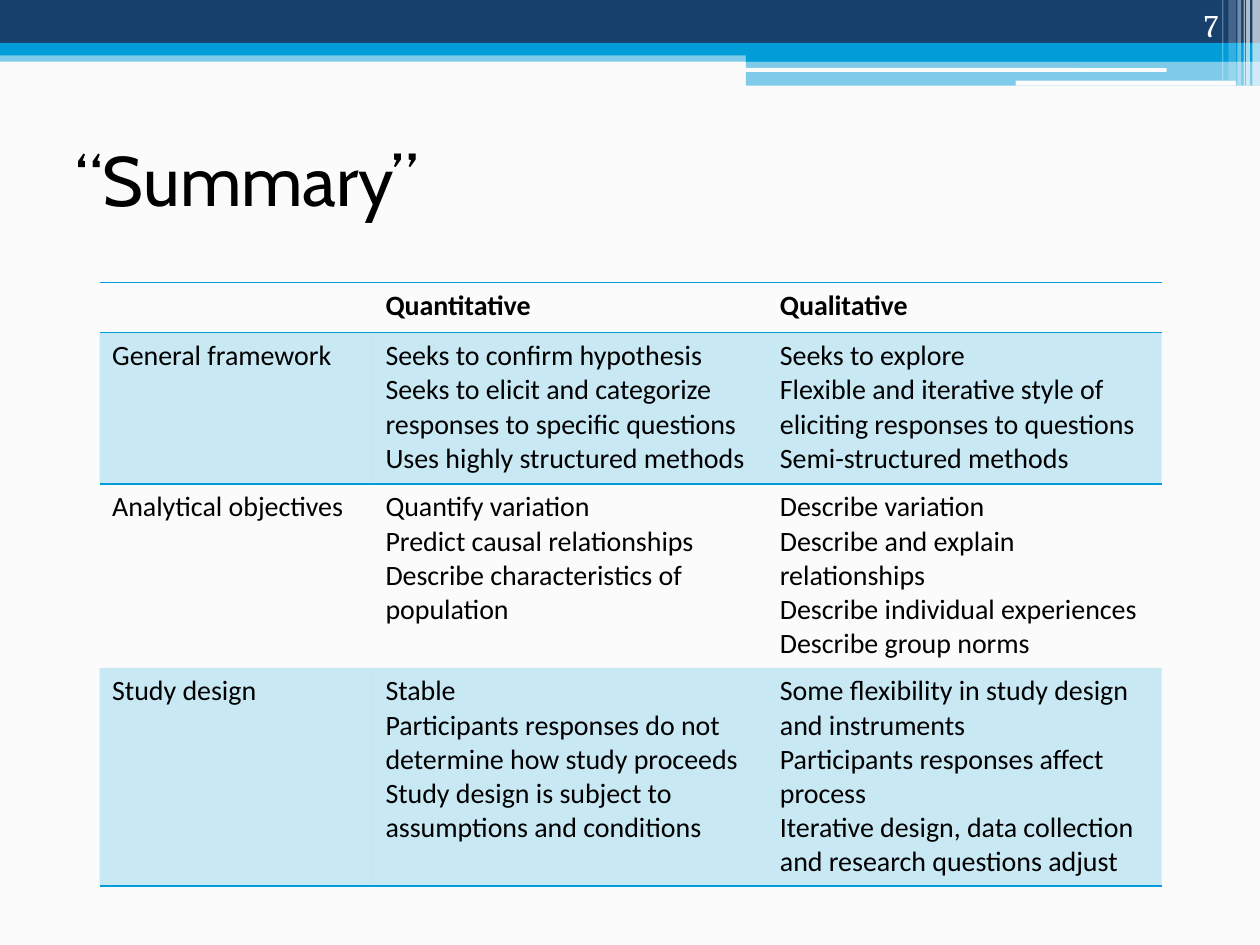
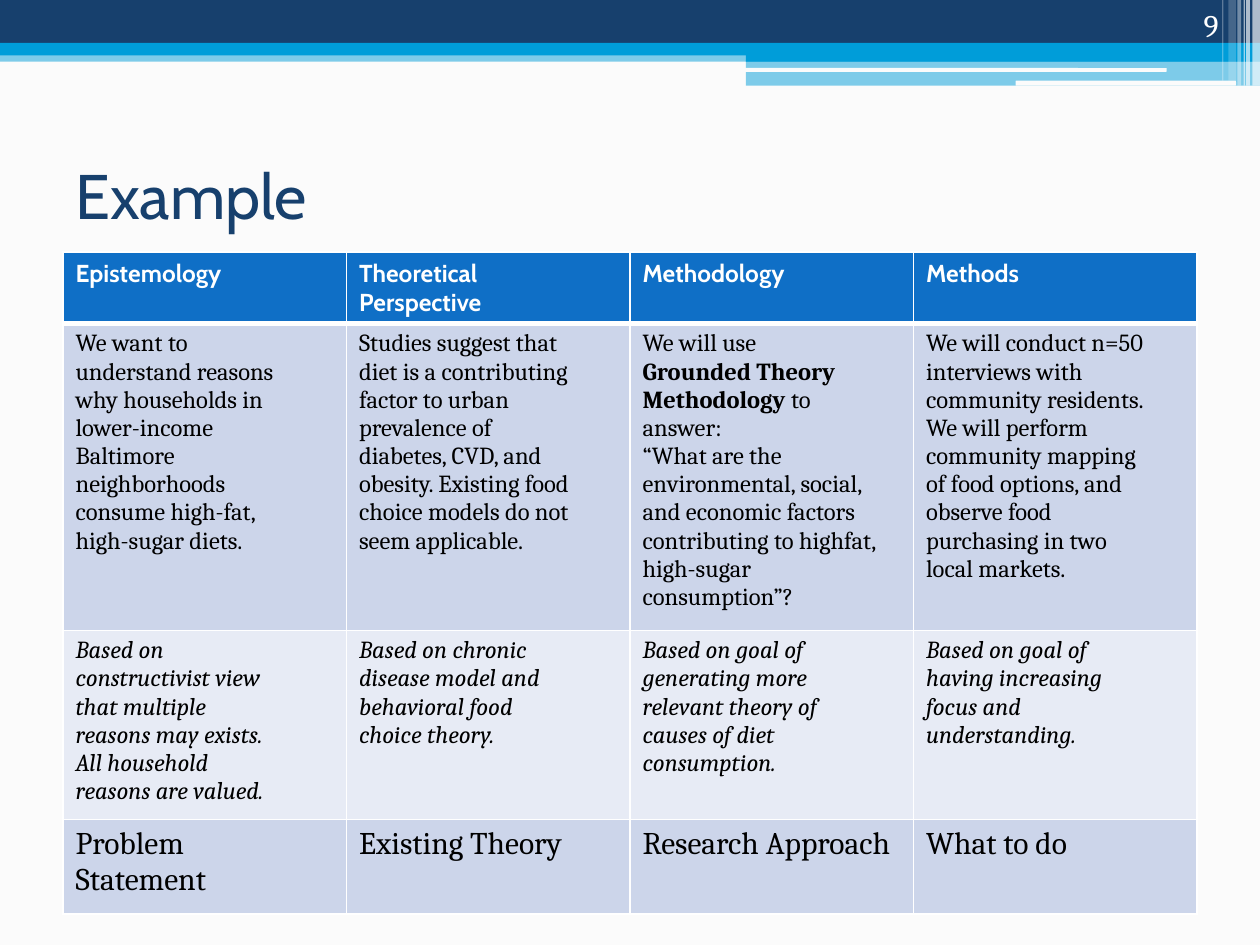
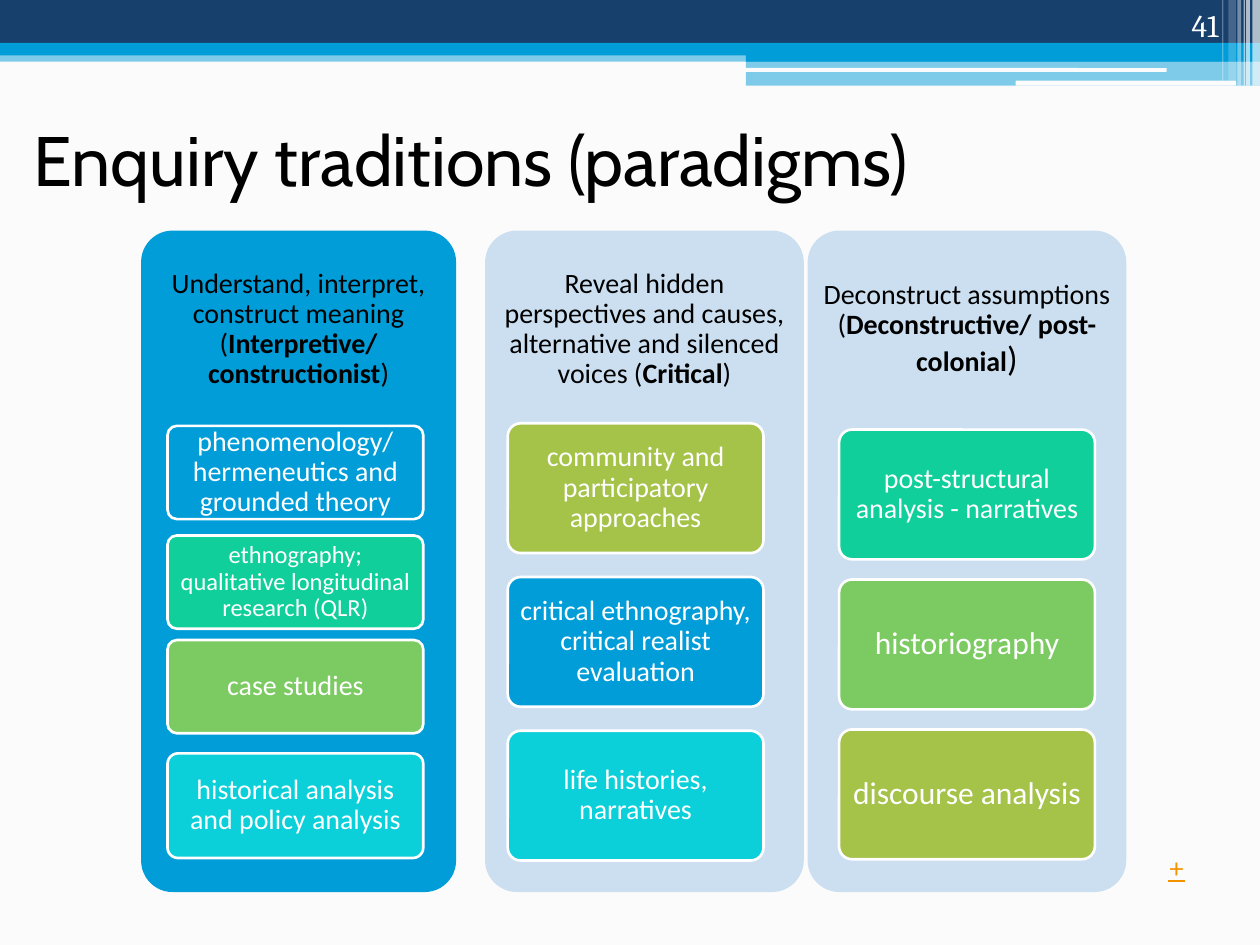
import pptx
import pptx.dml.color
import pptx.enum.shapes
import pptx.enum.text
import pptx.oxml
import pptx.oxml.ns
import pptx.util
import lxml.etree

Inches = pptx.util.Inches
Pt = pptx.util.Pt
RGBColor = pptx.dml.color.RGBColor
SHAPE = pptx.enum.shapes.MSO_SHAPE
ALIGN = pptx.enum.text.PP_ALIGN
ANCHOR = pptx.enum.text.MSO_ANCHOR
qn = pptx.oxml.ns.qn

COLORS = {
    "paper": "FBFBFB", "white": "FFFFFF", "black": "000000",
    "navy": "17406D", "sky": "009DD9", "royal": "0F6FC6",
    "pale": "CCDFF1", "aqua": "0BD0D9", "mint": "10CF9B",
    "green": "7CCA62", "olive": "A5C249", "orange": "F49100",
    "row_dark": "CCD5EA", "row_light": "E7EBF5",
}
NO_TABLE_STYLE = "{2D5ABB26-0587-4C30-8999-92F81FD0307C}"


def paint(fill, color, opacity=100):
    fill.solid()
    fill.fore_color.rgb = RGBColor.from_string(COLORS[color])
    if opacity < 100:
        rgb = next(fill._xPr.iter(qn("a:srgbClr")))
        lxml.etree.SubElement(rgb, qn("a:alpha"), val=str(opacity * 1000))


def write(frame, text, font, size, color, bold=False, italic=False,
          align=ALIGN.LEFT, anchor=ANCHOR.TOP, spacing=None):
    """Each line becomes a paragraph; ** switches bold on and off."""
    frame.word_wrap = True
    frame.vertical_anchor = anchor
    for number, line in enumerate(text.split("\n")):
        paragraph = frame.add_paragraph() if number else frame.paragraphs[0]
        paragraph.alignment = align
        paragraph.line_spacing = spacing
        for part, words in enumerate(line.split("**")):
            if part and not words:
                continue
            run = paragraph.add_run()
            run.text = words
            run.font.name = font
            run.font.size = Pt(size)
            run.font.bold = bold or part % 2 == 1
            run.font.italic = italic
            run.font.color.rgb = RGBColor.from_string(COLORS[color])


deck = pptx.Presentation()
deck.slide_width, deck.slide_height = Inches(10), Inches(7.5)

# Shared header: left, top, width, height, colour, opacity
bands = [
    (0, 0.4, 10, 0.09, "sky", 50),
    (0, 0, 10, 0.34, "navy", 100),
    (0, 0.34, 10, 0.1, "sky", 100),
    (5.92, 0.39, 4.08, 0.1, "sky", 100),
    (5.92, 0.48, 4.08, 0.2, "sky", 50),
    (5.91, 0.54, 3.35, 0.03, "paper", 100),
    (8.06, 0.64, 1.75, 0.04, "paper", 100),
    (9.94, 0, 0.06, 0.68, "white", 65),
    (9.89, 0, 0.03, 0.68, "white", 65),
    (9.87, 0, 0.01, 0.68, "white", 60),
    (9.82, 0, 0.03, 0.68, "white", 40),
    (9.75, 0, 0.06, 0.64, "white", 20),
    (9.7, 0, 0.01, 0.64, "white", 30),
]
# Title, its box, size and colour, and the slide number
openings = [
    ("“Summary”", (0.5, 0.83, 9, 1.17), 40, "black", "7"),
    ("Example", (0.5, 1.25, 9, 0.58), 36, "navy", "9"),
    ("Enquiry traditions (paradigms)", (0.17, 0.67, 9, 1.17), 40, "black", "41"),
]
for title, title_box, size, color, number in openings:
    slide = deck.slides.add_slide(deck.slide_layouts[6])
    paint(slide.background.fill, "paper")
    for *box, band_color, opacity in bands:
        kind = SHAPE.ROUNDED_RECTANGLE if band_color == "paper" else SHAPE.RECTANGLE
        band = slide.shapes.add_shape(kind, *map(Inches, box))
        band.shadow.inherit = False
        band.line.fill.background()
        paint(band.fill, band_color, opacity)
    heading = slide.shapes.add_textbox(*map(Inches, title_box))
    write(heading.text_frame, title, "Cabin", size, color, anchor=ANCHOR.MIDDLE)
    page = slide.shapes.add_textbox(*map(Inches, (8.94, 0, 0.83, 0.4)))
    write(page.text_frame, number, "Cambria", 18, "white",
          align=ALIGN.RIGHT, anchor=ANCHOR.BOTTOM)
summary, example, traditions = deck.slides

# Tables: each row has a height, fill, text style, edges and cell texts
body = ("Calibri", 16, "black")
rule = ("sky", 1)
thin, thick = ("white", 1), ("white", 3)
grid = {"L": thin, "R": thin, "T": thin, "B": thin}
summary_rows = [
    (0.37, None, body + (True,), {"T": rule, "B": rule},
     ["", "Quantitative", "Qualitative"]),
    (1.2, ("sky", 20), body, {"T": rule}, [
        "General framework",
        "Seeks to confirm hypothesis\n"
        "Seeks to elicit and categorize responses to specific questions\n"
        "Uses highly structured methods",
        "Seeks to explore\n"
        "Flexible and iterative style of eliciting responses to questions\n"
        "Semi-structured methods"]),
    (1.46, None, body, {}, [
        "Analytical objectives",
        "Quantify variation\nPredict causal relationships\n"
        "Describe characteristics of population",
        "Describe variation\nDescribe and explain relationships\n"
        "Describe individual experiences\nDescribe group norms"]),
    (1.73, ("sky", 20), body, {"B": rule}, [
        "Study design",
        "Stable\nParticipants responses do not determine how study proceeds\n"
        "Study design is subject to assumptions and conditions",
        "Some flexibility in study design and instruments\n"
        "Participants responses affect process\n"
        "Iterative design, data collection and research questions adjust"]),
]
example_rows = [
    (0.56, ("royal",), ("Cabin", 14, "white", True), {**grid, "B": thick},
     ["Epistemology", "Theoretical\nPerspective", "Methodology", "Methods"]),
    (2.34, ("row_dark",), ("Cambria", 14, "black"), {**grid, "T": thick}, [
        "We want to\nunderstand reasons\nwhy households in\nlower-income\n"
        "Baltimore\nneighborhoods\nconsume high-fat,\nhigh-sugar diets.",
        "Studies suggest that\ndiet is a contributing\nfactor to urban\n"
        "prevalence of\ndiabetes, CVD, and\nobesity. Existing food\n"
        "choice models do not\nseem applicable.",
        "We will use\n**Grounded Theory**\n**Methodology **to\nanswer:\n"
        "“What are the\nenvironmental, social,\nand economic factors\n"
        "contributing to highfat,\nhigh-sugar\nconsumption”?",
        "We will conduct n=50\ninterviews with\ncommunity residents.\n"
        "We will perform\ncommunity mapping\nof food options, and\n"
        "observe food\npurchasing in two\nlocal markets."]),
    (1.44, ("row_light",), ("Cambria", 14, "black", False, True), grid, [
        "Based on\nconstructivist view\nthat multiple\nreasons may exists.\n"
        "All household\nreasons are valued.",
        "Based on chronic\ndisease model and\nbehavioral food\nchoice theory.",
        "Based on goal of\ngenerating more\nrelevant theory of\n"
        "causes of diet\nconsumption.",
        "Based on goal of\nhaving increasing\nfocus and\nunderstanding."]),
    (0.75, ("row_dark",), ("Cambria", 18, "black"), grid,
     ["Problem\nStatement", "Existing Theory", "Research Approach", "What to do"]),
]
for slide, left, top, widths, rows in [
    (summary, 0.79, 2.24, [2.17, 3.13, 3.13], summary_rows),
    (example, 0.5, 2, [2.25] * 4, example_rows),
]:
    table = slide.shapes.add_table(
        len(rows), len(widths), Inches(left), Inches(top),
        Inches(sum(widths)), Inches(sum(row[0] for row in rows))).table
    table.first_row = table.horz_banding = False
    table._tbl.tblPr.find(qn("a:tableStyleId")).text = NO_TABLE_STYLE
    for column, width in zip(table.columns, widths):
        column.width = Inches(width)
    for row, (height, fill, style, edges, texts) in zip(table.rows, rows):
        row.height = Inches(height)
        for cell, text in zip(row.cells, texts):
            write(cell.text_frame, text, *style)
            if fill:
                paint(cell.fill, *fill)
            else:
                cell.fill.background()
            for place, (side, (color, weight)) in enumerate(edges.items()):
                cell._tc.tcPr.insert(place, pptx.oxml.parse_xml(
                    f'<a:ln{side} xmlns:a="{pptx.oxml.ns.nsdecls("a").split(chr(34))[1]}"'
                    f' w="{Pt(weight)}"><a:solidFill><a:srgbClr val="{COLORS[color]}"/>'
                    f'</a:solidFill></a:ln{side}>'))

# Paradigms: left, width, fill, header, left of methods, methods
# Method: top, height, fill, size, text
paradigms = [
    (1.12, 2.5, "sky",
     "Understand, interpret, construct meaning (**Interpretive/ constructionist**)",
     1.33, [
         (3.38, 0.74, "sky", 16, "phenomenology/ hermeneutics and grounded theory"),
         (4.25, 0.74, "mint", 14, "ethnography; qualitative longitudinal research (QLR)"),
         (5.08, 0.74, "green", 16, "case studies"),
         (5.98, 0.83, "aqua", 16, "historical analysis and policy analysis")]),
    (3.85, 2.53, "pale",
     "Reveal hidden perspectives and causes, alternative and silenced voices (**Critical**)",
     4.03, [
         (3.36, 1.03, "olive", 16, "community and participatory approaches"),
         (4.58, 1.03, "sky", 16, "critical ethnography, critical realist evaluation"),
         (5.8, 1.03, "aqua", 16, "life histories, narratives")]),
    (6.41, 2.53, "pale",
     "Deconstruct assumptions (**Deconstructive/ post-colonial**)",
     6.66, [
         (3.41, 1.03, "mint", 16, "post-structural analysis - narratives"),
         (4.6, 1.03, "green", 18, "historiography"),
         (5.79, 1.03, "olive", 18, "discourse analysis")]),
]
centred = {"align": ALIGN.CENTER, "anchor": ANCHOR.MIDDLE, "spacing": 0.9}
for left, width, fill, header, method_left, methods in paradigms:
    panels = [(left, 1.83, width, 5.25, fill, 16, "")]
    panels += [(method_left, top, 2.03, *rest) for top, *rest in methods]
    for *box, color, size, text in panels:
        panel = traditions.shapes.add_shape(SHAPE.ROUNDED_RECTANGLE, *map(Inches, box))
        panel.adjustments[0] = 0.1
        panel.shadow.inherit = False
        paint(panel.fill, color)
        if not text:
            panel.line.fill.background()
            continue
        paint(panel.line.fill, "white")
        panel.line.width = Pt(1.5)
        frame = panel.text_frame
        frame.margin_left = frame.margin_right = Inches(0.04)
        frame.margin_top = frame.margin_bottom = Inches(0.03)
        write(frame, text, "Calibri", size, "white", **centred)
    frame = traditions.shapes.add_textbox(
        Inches(left), Inches(1.83), Inches(width), Inches(1.57)).text_frame
    frame.margin_left = frame.margin_right = Inches(0.07)
    frame.margin_top = frame.margin_bottom = Inches(0.07)
    write(frame, header, "Calibri", 16, "black", **centred)
# The last header closes with a larger bracket
frame.paragraphs[0].runs[-1].font.size = Pt(20)

more = traditions.shapes.add_textbox(*map(Inches, (9.17, 6.67, 0.33, 0.4)))
write(more.text_frame, "+", "Cambria", 18, "orange")
more.text_frame.paragraphs[0].runs[0].font.underline = True

deck.save("out.pptx")
